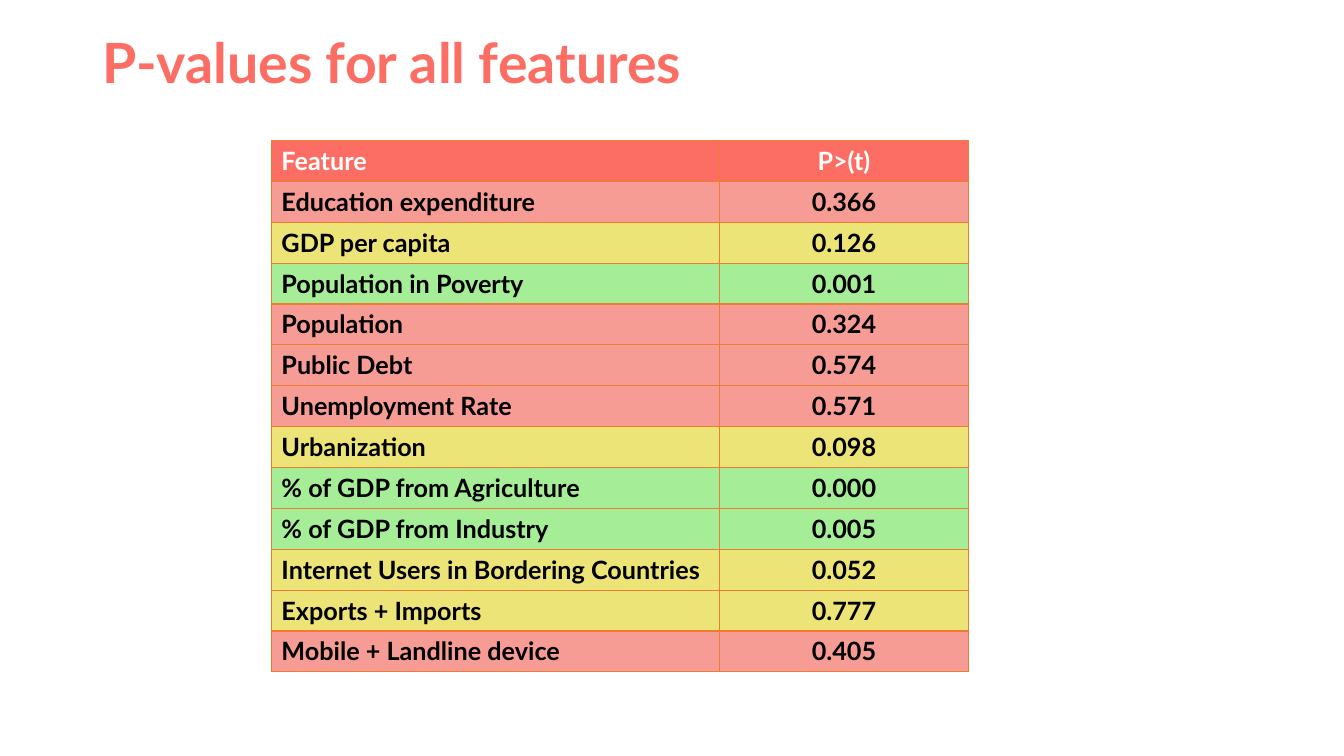
from lxml import etree
from pptx import Presentation
from pptx.dml.color import RGBColor
from pptx.enum import text
from pptx.oxml import ns
from pptx.util import Cm, Pt

FONT = "Lato"
CORAL, WHITE, BLACK, ORANGE = "FC6D63", "FFFFFF", "000000", "ED7D31"
RED, YELLOW, GREEN = "F79C94", "EDE478", "A5ED96"

FEATURES = [
    ("Education expenditure", "0.366", RED),
    ("GDP per capita", "0.126", YELLOW),
    ("Population in Poverty", "0.001", GREEN),
    ("Population", "0.324", RED),
    ("Public Debt", "0.574", RED),
    ("Unemployment Rate", "0.571", RED),
    ("Urbanization", "0.098", YELLOW),
    ("% of GDP from Agriculture", "0.000", GREEN),
    ("% of GDP from Industry", "0.005", GREEN),
    ("Internet Users in Bordering Countries", "0.052", YELLOW),
    ("Exports + Imports", "0.777", YELLOW),
    ("Mobile + Landline device", "0.405", RED),
]


def set_color(target, color):
    target.rgb = RGBColor.from_string(color)


def add_run(p, words, size, color):
    r = p.add_run()
    r.text = words
    r.font.name, r.font.size, r.font.bold = FONT, Pt(size), True
    set_color(r.font.color, color)


def add_title(s, words):
    sp = s.shapes.title
    sp.left, sp.top, sp.width, sp.height = Cm(2.33), Cm(1.02), Cm(29.21), Cm(1.24)
    tf = sp.text_frame
    tf.word_wrap = True
    tf.auto_size = text.MSO_AUTO_SIZE.NONE
    tf.vertical_anchor = text.MSO_ANCHOR.MIDDLE
    p = tf.paragraphs[0]
    p.alignment = text.PP_ALIGN.LEFT
    p.line_spacing = 0.9
    add_run(p, words, 39.6, CORAL)


def add_borders(cell, color):
    # Borders must come before the fill in the cell properties
    tc_pr = cell._tc.get_or_add_tcPr()
    for side in ("a:lnL", "a:lnR", "a:lnT", "a:lnB"):
        ln = etree.SubElement(tc_pr, ns.qn(side), w=str(Pt(1)))
        fill = etree.SubElement(ln, ns.qn("a:solidFill"))
        etree.SubElement(fill, ns.qn("a:srgbClr"), val=color)


def fill_cell(cell, words, align, fill, color):
    add_borders(cell, ORANGE)
    cell.fill.solid()
    set_color(cell.fill.fore_color, fill)
    p = cell.text_frame.paragraphs[0]
    p.alignment = align
    add_run(p, words, 18, color)


def add_p_value_table(s):
    rows = [("Feature", "P>(t)", CORAL)] + FEATURES
    widths, row_height = (Cm(11.29), Cm(6.28)), Cm(1.03)
    table = s.shapes.add_table(len(rows), 2, Cm(6.84), Cm(3.54),
                               sum(widths), row_height * len(rows)).table
    for column, width in zip(table.columns, widths):
        column.width = width
    for i, (feature, p_value, fill) in enumerate(rows):
        table.rows[i].height = row_height
        color = BLACK if i else WHITE
        fill_cell(table.cell(i, 0), feature, text.PP_ALIGN.LEFT, fill, color)
        fill_cell(table.cell(i, 1), p_value, text.PP_ALIGN.CENTER, fill, color)


def main():
    prs = Presentation()
    prs.slide_width, prs.slide_height = Cm(33.87), Cm(19.05)
    s = prs.slides.add_slide(prs.slide_layouts[5])
    # Heading
    add_title(s, "P-values for all features")
    # Table coloured by significance
    add_p_value_table(s)
    prs.save("out.pptx")


if __name__ == "__main__":
    main()
